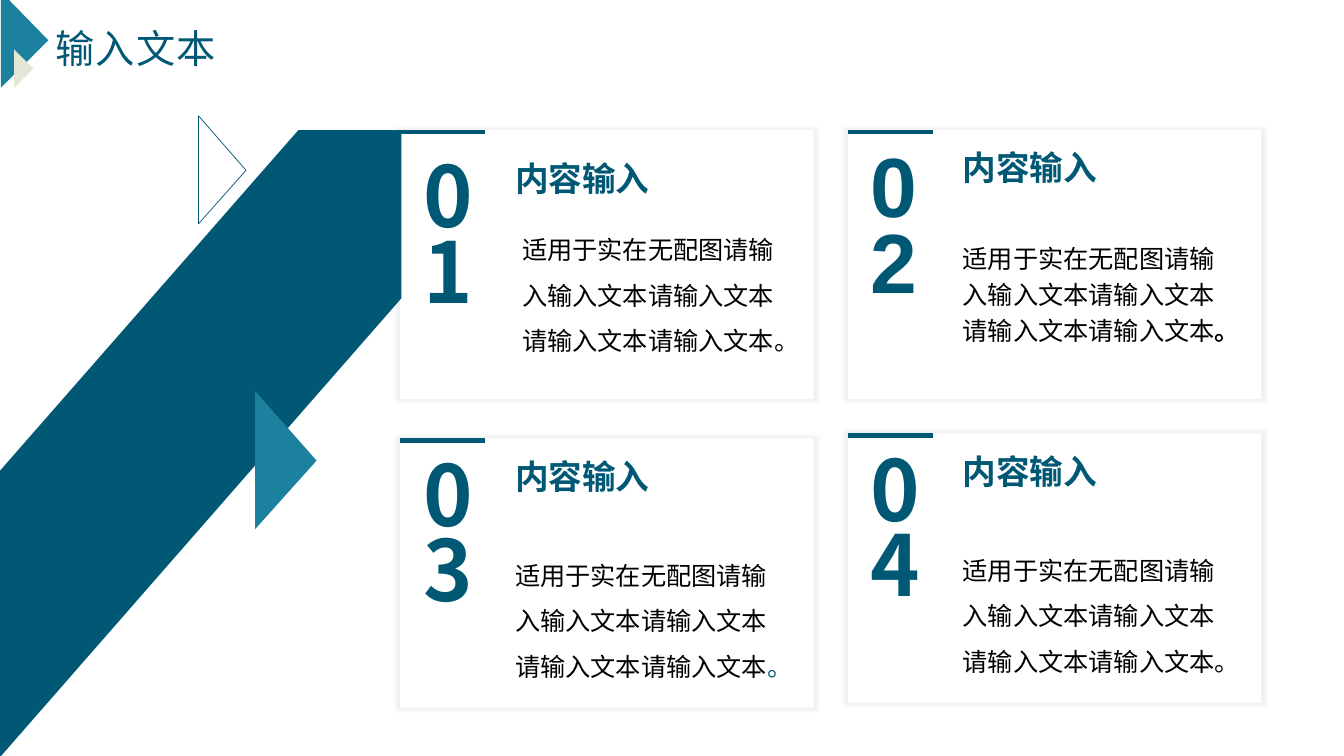
import pptx
import pptx.util
import pptx.dml.color
import pptx.enum.shapes
import pptx.enum.text
import pptx.oxml
import pptx.oxml.ns
import lxml.etree

Inches = pptx.util.Inches
Pt = pptx.util.Pt
RGBColor = pptx.dml.color.RGBColor
qn = pptx.oxml.ns.qn

NAVY = RGBColor(0x00, 0x58, 0x74)
TEAL = RGBColor(0x1C, 0x81, 0x9E)
CREAM = RGBColor(0xE6, 0xE6, 0xD4)
WHITE = RGBColor(0xFF, 0xFF, 0xFF)
BLACK = RGBColor(0x00, 0x00, 0x00)
SANS = "Noto Sans CJK SC"

TITLE = "输入文本"
HEADING = "内容输入"
BODY = "适用于实在无配图请输入输入文本请输入文本请输入文本请输入文本"
STOP = "。"

CARD_W, CARD_H = 4.1, 2.67
RULE_W = 0.84
CARDS = [
    dict(number="01", at=(3.97, 1.29), head_dy=0.3, body=(1.11, 0.84)),
    dict(number="03", at=(3.97, 4.35), head_font="Arial", stop_color=NAVY),
    dict(number="02", at=(8.41, 1.29), number_font="Arial", spacing=1.2, stop_bold=True),
    dict(number="04", at=(8.41, 4.3)),
]

CORNER = [
    ([(0.01, 0), (0.09, 0), (0.48, 0.4), (0.01, 0.87)], TEAL, None),
    ([(0.14, 0.49), (0.33, 0.68), (0.14, 0.87)], CREAM, None),
]
BAND = [
    ([(2.96, 1.29), (3.98, 1.29), (3.98, 2.96), (0.01, 7.5), (0, 7.5), (0, 4.67)], NAVY, None),
    ([(1.97, 1.15), (2.44, 1.69), (1.97, 2.22)], None, NAVY),
    ([(2.53, 3.88), (3.14, 4.57), (2.53, 5.25)], TEAL, None),
]


def add_polygon(slide, points, fill, line):
    corners = [(Inches(x), Inches(y)) for x, y in points]
    fb = slide.shapes.build_freeform(*corners[0])
    fb.add_line_segments(corners[1:], close=True)
    sp = fb.convert_to_shape()
    sp.shadow.inherit = False
    if fill is None:
        sp.fill.background()
    else:
        sp.fill.solid()
        sp.fill.fore_color.rgb = fill
    if line is None:
        sp.line.fill.background()
    else:
        sp.line.color.rgb = line
        sp.line.width = Pt(0.5)


def format_run(r, size, color, font=SANS, bold=False):
    r.font.size = Pt(size)
    r.font.bold = bold
    r.font.color.rgb = color
    r.font.name = font
    ea = lxml.etree.SubElement(r.font._element, qn("a:ea"))
    ea.set("typeface", SANS)


def add_text(slide, x, y, w, h, text, spacing, size, color, font=SANS, bold=False):
    tb = slide.shapes.add_textbox(Inches(x), Inches(y), Inches(w), Inches(h))
    tf = tb.text_frame
    tf.word_wrap = True
    p = tf.paragraphs[0]
    p.text = text
    p.line_spacing = spacing
    format_run(p.runs[0], size, color, font, bold)
    return tf


def add_panel(slide, x, y):
    sp = slide.shapes.add_shape(pptx.enum.shapes.MSO_SHAPE.RECTANGLE,
                                Inches(x), Inches(y), Inches(CARD_W), Inches(CARD_H))
    sp.fill.solid()
    sp.fill.fore_color.rgb = WHITE
    sp.line.fill.background()
    sp.shadow.inherit = False
    effects = sp._element.spPr.find(qn("a:effectLst"))
    shadow = lxml.etree.SubElement(effects, qn("a:outerShdw"), blurRad=str(Pt(3)),
                                   dist="0", dir="0", sx="102000", sy="102000",
                                   algn="ctr", rotWithShape="0")
    color = lxml.etree.SubElement(shadow, qn("a:srgbClr"), val="000000")
    lxml.etree.SubElement(color, qn("a:alpha"), val="5000")


def add_rule(slide, x, y):
    line = slide.shapes.add_connector(pptx.enum.shapes.MSO_CONNECTOR.STRAIGHT,
                                      Inches(x), Inches(y), Inches(x + RULE_W), Inches(y))
    line.line.color.rgb = NAVY
    line.line.width = Pt(3)
    lxml.etree.SubElement(line._element.spPr, qn("a:effectLst"))


def add_card(slide, number, at, head_dy=0.2, body=(1.04, 1.01), number_font=SANS,
             head_font=SANS, spacing=1.5, stop_color=BLACK, stop_bold=False):
    x, y = at
    add_panel(slide, x, y)
    add_rule(slide, x, y + 0.02)
    add_text(slide, x + 0.13, y + head_dy + 0.02, 0.91, 0.93,
             number, 0.75, 60, NAVY, number_font, True)
    add_text(slide, x + 1.04, y + head_dy, 3.06, 0.93,
             HEADING, 0.8, 24, NAVY, head_font, True)
    dx, dy = body
    tf = add_text(slide, x + dx, y + dy, 2.87, 1.49, BODY, spacing, 18, BLACK)
    r = tf.paragraphs[0].add_run()
    r.text = STOP
    format_run(r, 18, stop_color, bold=stop_bold)


def main():
    prs = pptx.Presentation()
    prs.slide_width, prs.slide_height = Inches(13.33), Inches(7.5)
    slide = prs.slides.add_slide(prs.slide_layouts[6])

    for points, fill, line in CORNER:
        add_polygon(slide, points, fill, line)
    for card in CARDS:
        add_card(slide, **card)
    for points, fill, line in BAND:
        add_polygon(slide, points, fill, line)

    tf = add_text(slide, 0.45, 0.14, 7.96, 0.57, TITLE, 0.9, 28, NAVY)
    tf.vertical_anchor = pptx.enum.text.MSO_ANCHOR.BOTTOM
    tf.margin_bottom = 0
    tf.paragraphs[0].runs[0].font._element.set("spc", "100")

    prs.save("out.pptx")


if __name__ == "__main__":
    main()
